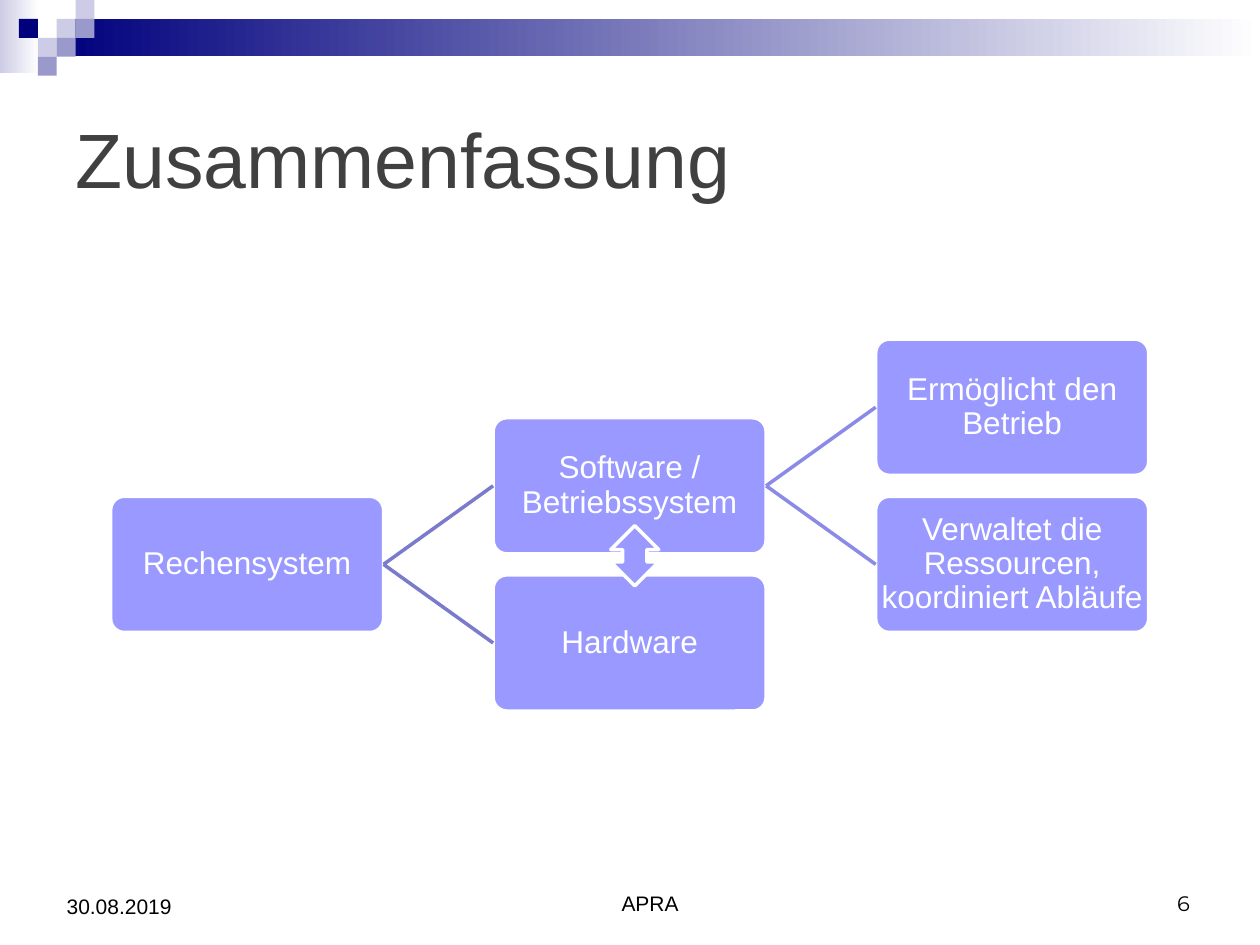
from dataclasses import dataclass
from lxml.etree import SubElement
from pptx import Presentation
from pptx.dml.color import RGBColor as RGB
from pptx.enum.shapes import MSO_CONNECTOR as LINK, MSO_SHAPE as SHAPE
from pptx.enum.text import MSO_ANCHOR as ANCHOR, PP_ALIGN as ALIGN
from pptx.oxml.ns import qn
from pptx.util import Pt


@dataclass(frozen=True)
class Theme:
    navy: RGB = RGB(0x00, 0x00, 0x7D)
    pale: RGB = RGB(0xCC, 0xCC, 0xE6)
    mid: RGB = RGB(0x99, 0x99, 0xCC)
    node: RGB = RGB(0x99, 0x99, 0xFF)
    links: tuple = (RGB(0x7B, 0x7B, 0xCC), RGB(0x8B, 0x8B, 0xE7))
    white: RGB = RGB(0xFF, 0xFF, 0xFF)
    black: RGB = RGB(0x00, 0x00, 0x00)
    title: RGB = RGB(0x40, 0x40, 0x40)
    font: str = "Arial"
    accent: str = "Montserrat"
    big: int = 44
    body: int = 18
    small: int = 12


THEME = Theme()
CELL = 10.8
NODE_W, NODE_H = 156, 77.8
LEFT, TOP = 63.2, 193.8
COL_STEP, ROW_STEP = 218.6, 44.9

# Each node: text, row in half steps, children
TREE = ("Rechensystem", 2, [
    ("Software / Betriebssystem", 1, [
        ("Ermöglicht den Betrieb", 0, []),
        ("Verwaltet die Ressourcen, koordiniert Abläufe", 2, []),
    ]),
    ("Hardware", 3, []),
])


def add_shape(slide, kind, x, y, w, h, color, line=None):
    shape = slide.shapes.add_shape(kind, Pt(x), Pt(y), Pt(w), Pt(h))
    shape.shadow.inherit = False
    shape.fill.solid()
    shape.fill.fore_color.rgb = color
    if line is None:
        shape.line.fill.background()
    else:
        shape.line.color.rgb = line
        shape.line.width = Pt(2)
    return shape


def add_fade(slide, x, y, w, h, color):
    """Add a bar that fades from color to white, left to right."""
    bar = add_shape(slide, SHAPE.RECTANGLE, x, y, w, h, color)
    bar.fill.gradient()
    bar.fill.gradient_angle = 0
    for stop, shade in zip(bar.fill.gradient_stops, (color, THEME.white)):
        stop.color.rgb = shade


def write(shape, text, size, color, align, anchor, font=THEME.font):
    frame = shape.text_frame
    frame.word_wrap = True
    frame.vertical_anchor = anchor
    para = frame.paragraphs[0]
    para.text = text
    para.alignment = align
    para.font.name = font
    para.font.size = Pt(size)
    para.font.color.rgb = color
    return frame


def add_text(slide, box, *style):
    write(slide.shapes.add_textbox(*map(Pt, box)), *style)


def add_link(slide, start, end, color):
    link = slide.shapes.add_connector(LINK.STRAIGHT, 0, 0, 0, 0)
    link.begin_connect(start, 3)
    link.end_connect(end, 1)
    link.line.color.rgb = color
    link.line.width = Pt(2)
    SubElement(link.element.spPr, qn("a:effectLst"))


def add_node(slide, text, col, row):
    node = add_shape(slide, SHAPE.ROUNDED_RECTANGLE, LEFT + col * COL_STEP,
                     TOP + row * ROW_STEP, NODE_W, NODE_H,
                     THEME.node, THEME.white)
    node.adjustments[0] = 0.1
    frame = write(node, text, THEME.body, THEME.white,
                  ALIGN.CENTER, ANCHOR.MIDDLE)
    frame.margin_left = frame.margin_right = Pt(0.7)
    frame.margin_top = frame.margin_bottom = Pt(0.7)
    frame.paragraphs[0].line_spacing = 0.9
    return node


def add_tree(slide, branch, col=0):
    text, row, kids = branch
    node = add_node(slide, text, col, row)
    for kid in kids:
        add_link(slide, node, add_tree(slide, kid, col + 1),
                 THEME.links[col])
    return node


def add_banner(slide):
    add_fade(slide, 0, 0, 22.3, 41.8, THEME.pale)
    add_fade(slide, 3 * CELL, CELL, 720 - 3 * CELL, 2 * CELL - 0.2, THEME.navy)
    cells = [
        (3, 1, THEME.pale), (4, 0, THEME.pale), (4, 1, THEME.mid),
        (2, 2, THEME.pale), (1, 1, THEME.navy), (3, 2, THEME.mid),
        (2, 3, THEME.mid),
    ]
    for col, row, color in cells:
        add_shape(slide, SHAPE.RECTANGLE, col * CELL, row * CELL,
                  CELL, CELL, color)


def add_footer(slide):
    parts = [
        ((31, 491, 108, 37.5), "30.08.2019", ALIGN.LEFT, THEME.font),
        ((139, 491, 465, 36), "APRA", ALIGN.CENTER, THEME.font),
        ((604, 491, 83, 36), "6", ALIGN.RIGHT, THEME.accent),
    ]
    for box, text, align, font in parts:
        add_text(slide, box, text, THEME.small, THEME.black,
                 align, ANCHOR.BOTTOM, font)


def main():
    deck = Presentation()
    deck.slide_width, deck.slide_height = Pt(720), Pt(540)
    slide = deck.slides.add_slide(deck.slide_layouts[6])
    add_banner(slide)
    add_text(slide, (36, 36, 648, 108), "Zusammenfassung", THEME.big,
             THEME.title, ALIGN.LEFT, ANCHOR.MIDDLE)
    add_tree(slide, TREE)
    add_shape(slide, SHAPE.UP_DOWN_ARROW, 349, 300.3, 27.5, 34.5,
              THEME.node, THEME.white)
    add_footer(slide)
    deck.save("out.pptx")


if __name__ == "__main__":
    main()
